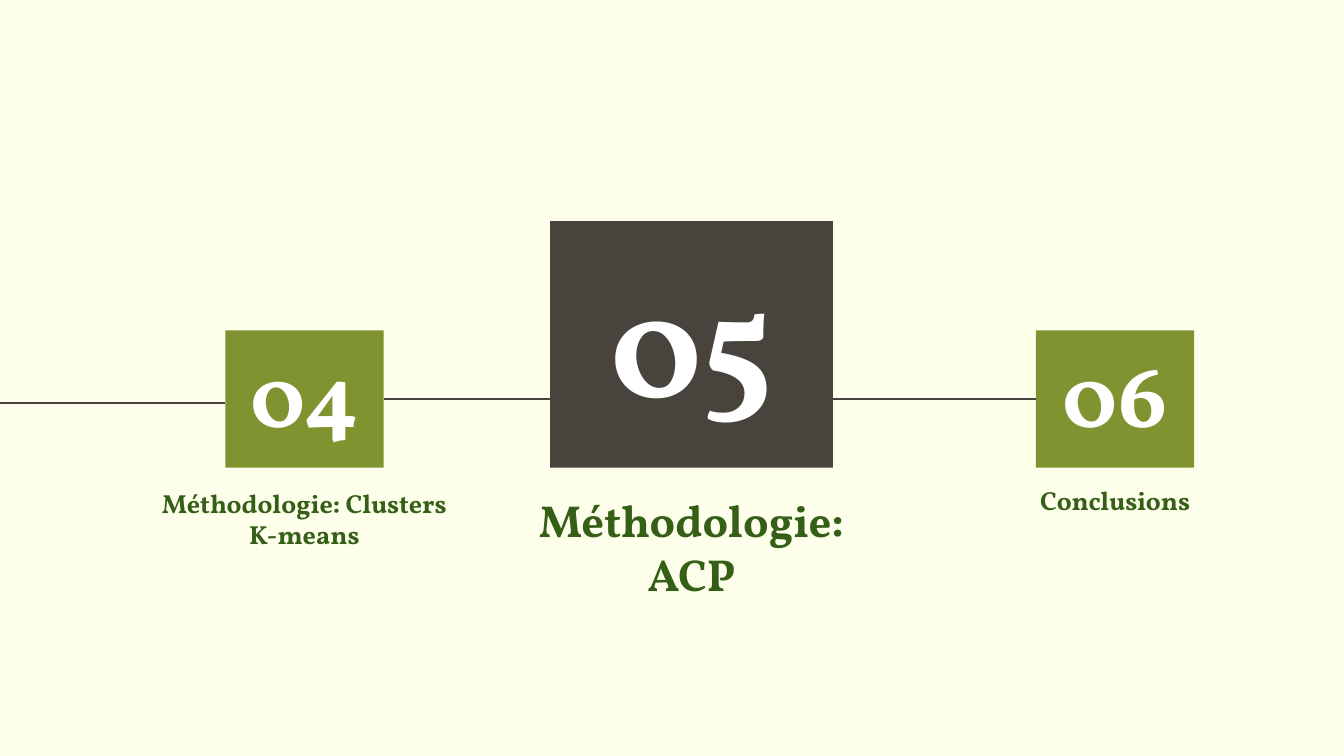
from lxml import etree
from pptx import Presentation
from pptx.dml.color import RGBColor
from pptx.enum.shapes import MSO_CONNECTOR, MSO_SHAPE
from pptx.enum.text import MSO_ANCHOR, PP_ALIGN
from pptx.oxml.ns import qn
from pptx.util import Pt

RECTANGLE = MSO_SHAPE.RECTANGLE
STRAIGHT = MSO_CONNECTOR.STRAIGHT
CENTER = PP_ALIGN.CENTER
TOP, MIDDLE = MSO_ANCHOR.TOP, MSO_ANCHOR.MIDDLE

PX = 9525
FONT = "Vollkorn"
CREAM = RGBColor(0xFD, 0xFF, 0xEB)
OLIVE = RGBColor(0x7F, 0x94, 0x30)
BROWN = RGBColor(0x49, 0x43, 0x3D)
GREEN = RGBColor(0x35, 0x5F, 0x16)
WHITE = RGBColor(0xFF, 0xFF, 0xFF)
LEFT_SIDE, RIGHT_SIDE = 1, 3


def emu(*lengths):
    """Turn px lengths into EMU."""
    return [length * PX for length in lengths]


def write(shape, text, *, size, color, anchor=TOP, bottom=10):
    """Fill a shape with one centred bold paragraph."""
    frame = shape.text_frame
    frame.word_wrap = True
    frame.vertical_anchor = anchor
    frame.margin_left = frame.margin_top = frame.margin_right = 10 * PX
    frame.margin_bottom = bottom * PX
    para = frame.paragraphs[0]
    para.alignment = CENTER
    span = para.add_run()
    span.text = text
    span.font.name = FONT
    span.font.size = Pt(size)
    span.font.bold = True
    span.font.color.rgb = color


def add_step(page, box, number, label, *, fill, number_size, label_size,
             label_width, label_height, label_gap):
    """Draw a numbered rectangle with its label centred below it."""
    left, top, width, height = box
    tile = page.shapes.add_shape(RECTANGLE, *emu(left, top, width, height))
    tile.shadow.inherit = False
    tile.fill.solid()
    tile.fill.fore_color.rgb = fill
    tile.line.fill.background()
    write(tile, number, size=number_size, color=WHITE, anchor=MIDDLE, bottom=20)
    label_left = left + (width - label_width) // 2
    caption = page.shapes.add_textbox(
        *emu(label_left, top + height + label_gap, label_width, label_height))
    write(caption, label, size=label_size, color=GREEN)
    return tile


def add_line(page, start, end, y):
    """Draw a thin horizontal line between two x positions."""
    line = page.shapes.add_connector(STRAIGHT, *emu(start, y, end, y))
    line.line.color.rgb = BROWN
    line.line.width = Pt(0.75)
    etree.SubElement(line.element.spPr, qn("a:effectLst"))
    return line


def add_timeline(page, box):
    """Place the three steps and the lines that link them."""
    left, top, width, height = box
    small_width, small_height = 113, 98
    large_left, large_width = left + 393, 202
    first_left, last_left = left + 161, left + 740
    small_top = top + height - small_height
    middle = small_top + small_height // 2
    small = dict(fill=OLIVE, number_size=48, label_size=14, label_width=225)

    first = add_step(page, (first_left, small_top, small_width, small_height),
                     "04", "Méthodologie: Clusters K-means",
                     label_height=60, label_gap=4, **small)
    add_step(page, (large_left, top, large_width, height),
             "05", "Méthodologie: ACP", fill=BROWN, number_size=80,
             label_size=24, label_width=296, label_height=148, label_gap=8)
    last = add_step(page, (last_left, small_top, small_width, small_height),
                    "06", "Conclusions",
                    label_height=67, label_gap=2, **small)

    add_line(page, left, first_left, middle + 3)
    before = add_line(page, first_left + small_width, large_left, middle)
    before.begin_connect(first, RIGHT_SIDE)
    after = add_line(page, large_left + large_width, last_left, middle)
    after.end_connect(last, LEFT_SIDE)


def main():
    """Build and save the deck."""
    deck = Presentation()
    deck.slide_width, deck.slide_height = emu(960, 540)
    page = deck.slides.add_slide(deck.slide_layouts[6])
    page.background.fill.solid()
    page.background.fill.fore_color.rgb = CREAM
    add_timeline(page, (0, 158, 960, 176))
    deck.save("out.pptx")


if __name__ == "__main__":
    main()
